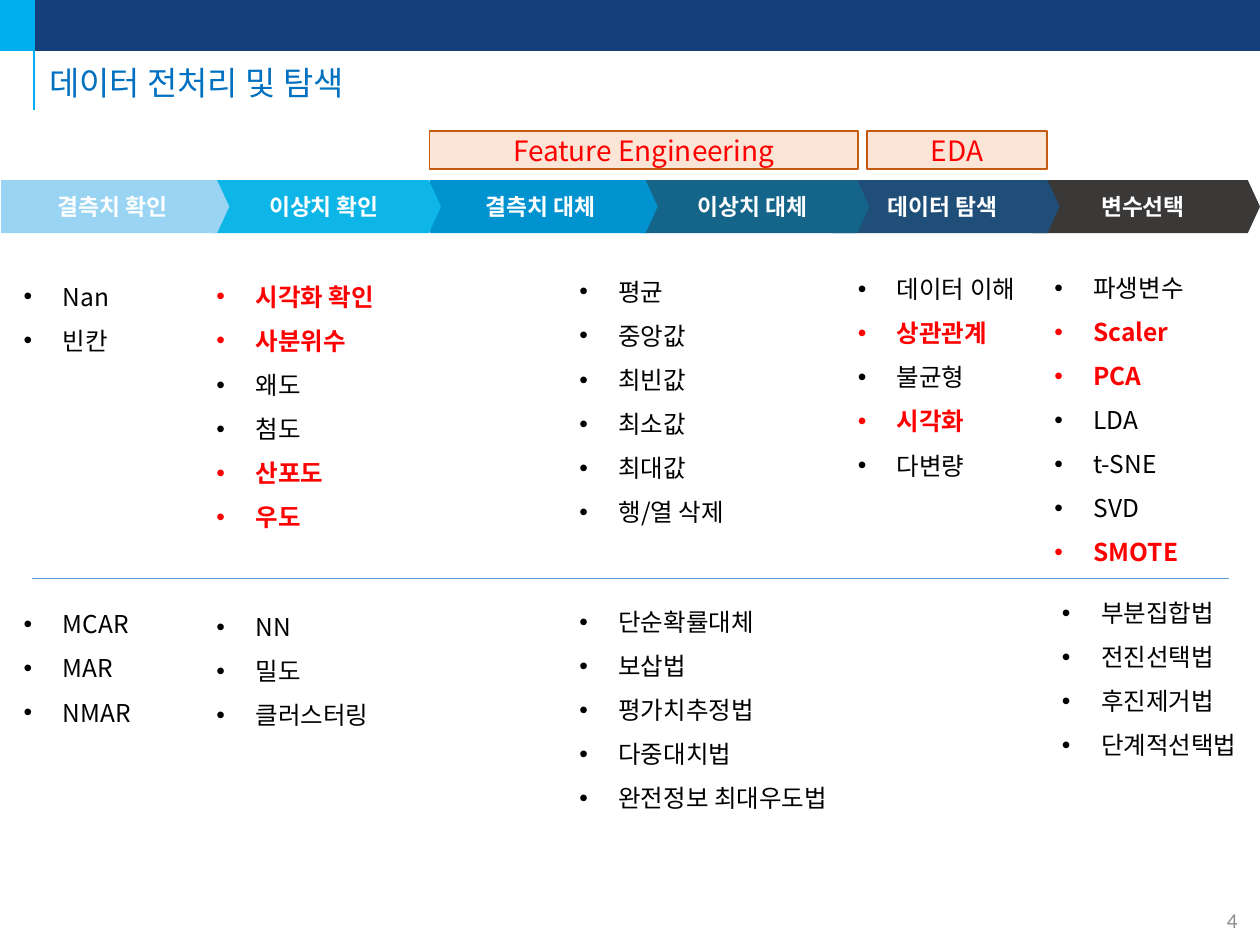
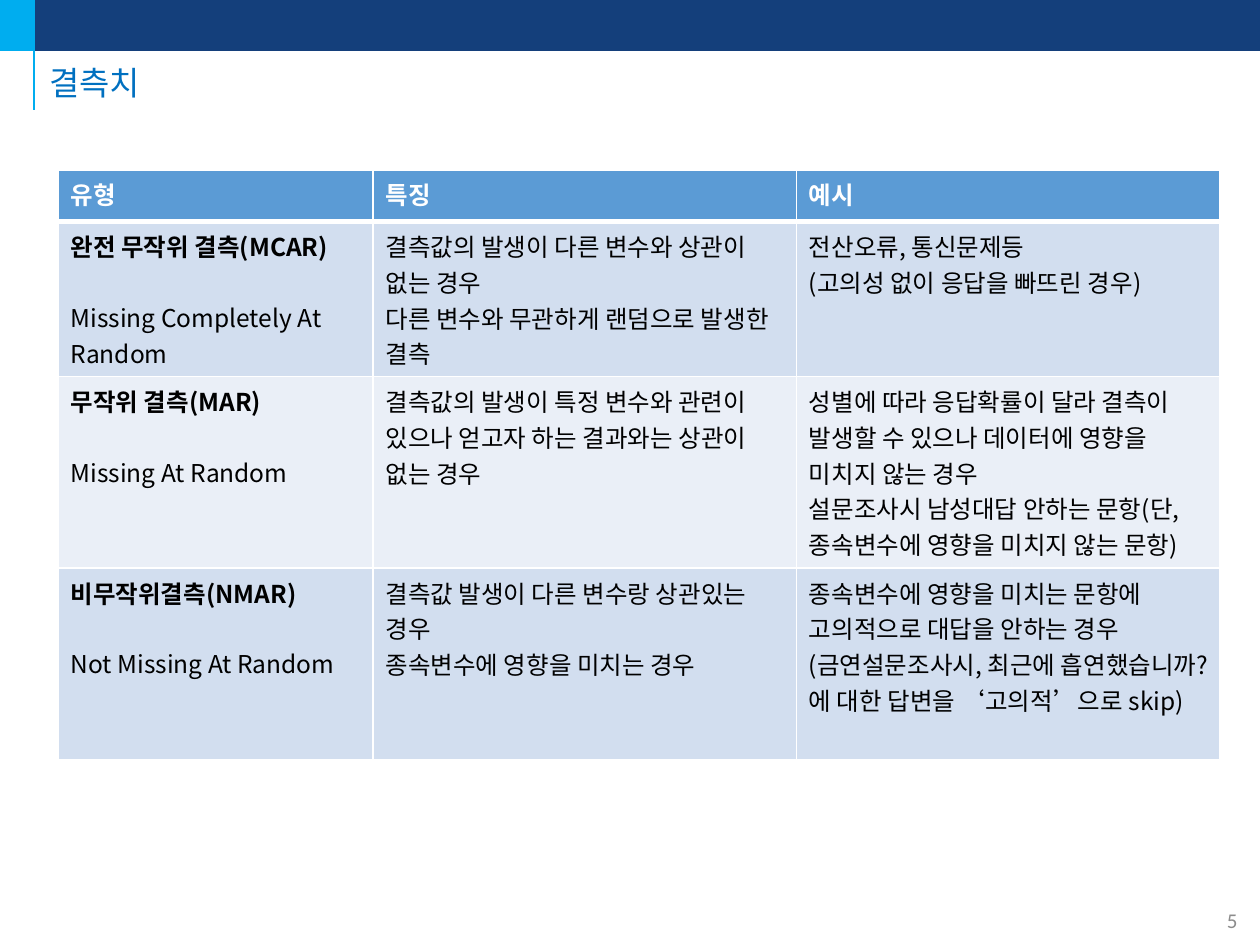
from lxml import etree
from pptx import Presentation
from pptx.dml.color import RGBColor
from pptx.enum.shapes import MSO_CONNECTOR, MSO_SHAPE
from pptx.enum.text import MSO_ANCHOR, MSO_AUTO_SIZE, PP_ALIGN
from pptx.oxml.ns import qn
from pptx.util import Pt

SCALE = 9144  # EMU per px, 100 px to the inch
RECTANGLE, PENTAGON = MSO_SHAPE.RECTANGLE, MSO_SHAPE.PENTAGON
STRAIGHT = MSO_CONNECTOR.STRAIGHT
MIDDLE = MSO_ANCHOR.MIDDLE
LEFT, CENTER = PP_ALIGN.LEFT, PP_ALIGN.CENTER
NO_AUTOFIT = MSO_AUTO_SIZE.NONE

FONT, NUMBER_FONT = "Noto Sans CJK KR", "Calibri"
COLORS = {
    "navy": "143F7B", "cyan": "00ADEF", "title": "0070C0", "number": "8C8C8C",
    "black": "000000", "white": "FFFFFF", "red": "FF0000",
    "peach": "FBE5D6", "orange": "C55A11", "blue": "5B9BD5",
    "band_dark": "D2DEEF", "band_light": "EAEFF7",
    "step_1": "99D4F3", "step_2": "0EB6E7", "step_3": "0093D0",
    "step_4": "15658A", "step_5": "1F4E79", "step_6": "3B3838",
}


def px(length):
    return length * SCALE


def rgb(name):
    return RGBColor.from_string(COLORS[name])


class Deck:
    """Holds the shared style and the slide being built."""

    def __init__(self, width, height):
        self.presentation = Presentation()
        self.presentation.slide_width = px(width)
        self.presentation.slide_height = px(height)
        self.slide = None

    def style(self, paragraph, size, color, bold=False, font=FONT):
        for run in paragraph.runs:
            run.font.size = Pt(size)
            run.font.bold = bold
            run.font.color.rgb = rgb(color)
            run.font.name = font
            latin = run.font._element.find(qn("a:latin"))
            east_asian = etree.Element(qn("a:ea"), typeface=font)
            latin.addnext(east_asian)

    def new_slide(self, title, number):
        layout = self.presentation.slide_layouts[5]
        self.slide = self.presentation.slides.add_slide(layout)
        # Bands and vertical rule
        self.box((0, 0, 1000, 40), "navy", "navy")
        self.box((0, 0, 26, 40), "cyan", "cyan")
        self.line((27, 87), (27, 0), "cyan", 1.5)
        # Slide number
        frame = self.text_box((957, 710, 42, 40))
        frame.vertical_anchor = MIDDLE
        frame.text = str(number)
        frame.paragraphs[0].alignment = CENTER
        self.style(frame.paragraphs[0], 12, "number", font=NUMBER_FONT)
        # Title
        self.title(title)

    def title(self, text):
        shape = self.slide.shapes.title
        shape.left, shape.top, shape.width, shape.height = map(px, (29, 45, 970, 44))
        frame = shape.text_frame
        frame.auto_size = NO_AUTOFIT
        frame.vertical_anchor = MIDDLE
        frame.text = text
        paragraph = frame.paragraphs[0]
        paragraph.alignment = LEFT
        paragraph.line_spacing = 0.9
        self.style(paragraph, 18.8, "title")

    def text_box(self, area):
        frame = self.slide.shapes.add_textbox(*map(px, area)).text_frame
        frame.word_wrap = True
        return frame

    def box(self, area, fill, line=None, text="", size=16, color="white",
            bold=False, kind=RECTANGLE):
        shape = self.slide.shapes.add_shape(kind, *map(px, area))
        shape.shadow.inherit = False
        shape.fill.solid()
        shape.fill.fore_color.rgb = rgb(fill)
        if line:
            shape.line.color.rgb = rgb(line)
            shape.line.width = Pt(1)
        else:
            shape.line.fill.background()
        if text:
            frame = shape.text_frame
            frame.vertical_anchor = MIDDLE
            frame.text = text
            frame.paragraphs[0].alignment = CENTER
            self.style(frame.paragraphs[0], size, color, bold)
        return shape

    def arrow_step(self, left, text, fill):
        shape = self.box((left, 143, 181, 42), fill, text=text, size=13,
                         bold=True, kind=PENTAGON)
        shape.adjustments[0] = 0.23

    def line(self, start, end, color, width):
        connector = self.slide.shapes.add_connector(STRAIGHT, *map(px, start + end))
        connector.line.color.rgb = rgb(color)
        connector.line.width = Pt(width)
        etree.SubElement(connector._element.spPr, qn("a:effectLst"))

    def bullets(self, left, top, width, items, highlighted=()):
        frame = self.text_box((left, top, width, 7 + 35 * len(items)))
        frame.text = "\n".join(items)
        for paragraph in frame.paragraphs:
            paragraph.line_spacing = 1.5
            properties = paragraph._p.get_or_add_pPr()
            properties.set("marL", str(px(31)))
            properties.set("indent", str(-px(31)))
            etree.SubElement(properties, qn("a:buFont"), typeface="Arial")
            etree.SubElement(properties, qn("a:buChar"), char="•")
            strong = paragraph.text in highlighted
            self.style(paragraph, 14, "red" if strong else "black", strong)

    def cell_borders(self, cell, widths):
        properties = cell._tc.get_or_add_tcPr()
        for side, width in widths.items():
            border = etree.SubElement(properties, qn(f"a:ln{side}"), w=str(Pt(width)))
            fill = etree.SubElement(border, qn("a:solidFill"))
            etree.SubElement(fill, qn("a:srgbClr"), val=COLORS["white"])

    def table(self, left, top, column_widths, row_heights, rows):
        area = (left, top, sum(column_widths), sum(row_heights))
        table = self.slide.shapes.add_table(
            len(rows), len(column_widths), *map(px, area)).table
        table.horz_banding = False
        for column, width in zip(table.columns, column_widths):
            column.width = px(width)
        for row, height in zip(table.rows, row_heights):
            row.height = px(height)
        for row_index, texts in enumerate(rows):
            header = row_index == 0
            band = "band_dark" if row_index % 2 else "band_light"
            for column_index, text in enumerate(texts):
                cell = table.cell(row_index, column_index)
                self.cell_borders(cell, {"L": 1, "R": 1,
                                         "T": 3 if row_index == 1 else 1,
                                         "B": 3 if header else 1})
                cell.fill.solid()
                cell.fill.fore_color.rgb = rgb("blue" if header else band)
                cell.text = text
                for line_index, paragraph in enumerate(cell.text_frame.paragraphs):
                    type_name = column_index == 0 and line_index == 0
                    self.style(paragraph, 14, "white" if header else "black",
                               header or type_name)
                    if column_index == 0 and line_index:
                        paragraph.space_before = Pt(20)


def build_process_slide(deck):
    deck.new_slide("데이터 전처리 및 탐색", 4)

    # Process arrows, each overlapping the one to its right
    steps = [(1, "결측치 확인"), (169, "이상치 확인"), (341, "결측치 대체"),
             (509, "이상치 대체"), (660, "데이터 탐색"), (819, "변수선택")]
    for number, (left, text) in reversed(list(enumerate(steps, 1))):
        deck.arrow_step(left, text, f"step_{number}")

    # Phase labels
    for left, width, text in [(341, 340, "Feature Engineering"), (688, 143, "EDA")]:
        deck.box((left, 104, width, 30), "peach", "orange", text, color="red")

    # Upper lists
    deck.bullets(9, 207, 160, ["Nan", "빈칸"])
    deck.bullets(162, 207, 160,
                 ["시각화 확인", "사분위수", "왜도", "첨도", "산포도", "우도"],
                 ["시각화 확인", "사분위수", "산포도", "우도"])
    deck.bullets(450, 203, 160,
                 ["평균", "중앙값", "최빈값", "최소값", "최대값", "행/열 삭제"])
    deck.bullets(671, 201, 160,
                 ["데이터 이해", "상관관계", "불균형", "시각화", "다변량"],
                 ["상관관계", "시각화"])
    deck.bullets(827, 200, 160,
                 ["파생변수", "Scaler", "PCA", "LDA", "t-SNE", "SVD", "SMOTE"],
                 ["Scaler", "PCA", "SMOTE"])

    # Divider and lower lists
    deck.line((25, 459), (975, 459), "blue", 0.5)
    deck.bullets(9, 467, 160, ["MCAR", "MAR", "NMAR"])
    deck.bullets(162, 469, 160, ["NN", "밀도", "클러스터링"])
    deck.bullets(450, 465, 311, ["단순확률대체", "보삽법", "평가치추정법",
                                 "다중대치법", "완전정보 최대우도법"])
    deck.bullets(833, 458, 181, ["부분집합법", "전진선택법", "후진제거법",
                                 "단계적선택법"])


def build_missing_values_slide(deck):
    deck.new_slide("결측치", 5)
    rows = [
        ("유형", "특징", "예시"),
        ("완전 무작위 결측(MCAR)\nMissing Completely At Random",
         "결측값의 발생이 다른 변수와 상관이 없는 경우\n"
         "다른 변수와 무관하게 랜덤으로 발생한 결측",
         "전산오류, 통신문제등\n(고의성 없이 응답을 빠뜨린 경우)"),
        ("무작위 결측(MAR)\nMissing At Random",
         "결측값의 발생이 특정 변수와 관련이 있으나 얻고자 하는 결과와는 "
         "상관이 없는 경우",
         "성별에 따라 응답확률이 달라 결측이 발생할 수 있으나 데이터에 영향을 "
         "미치지 않는 경우\n"
         "설문조사시 남성대답 안하는 문항(단, 종속변수에 영향을 미치지 않는 문항)"),
        ("비무작위결측(NMAR)\nNot Missing At Random",
         "결측값 발생이 다른 변수랑 상관있는 경우\n종속변수에 영향을 미치는 경우",
         "종속변수에 영향을 미치는 문항에 고의적으로 대답을 안하는 경우\n"
         "(금연설문조사시, 최근에 흡연했습니까?에 대한 답변을 ‘고의적’으로 skip)"),
    ]
    deck.table(46, 135, [250, 336, 336], [41, 123, 152, 152], rows)


def main():
    deck = Deck(1000, 750)
    build_process_slide(deck)
    build_missing_values_slide(deck)
    deck.presentation.save("out.pptx")


if __name__ == "__main__":
    main()
